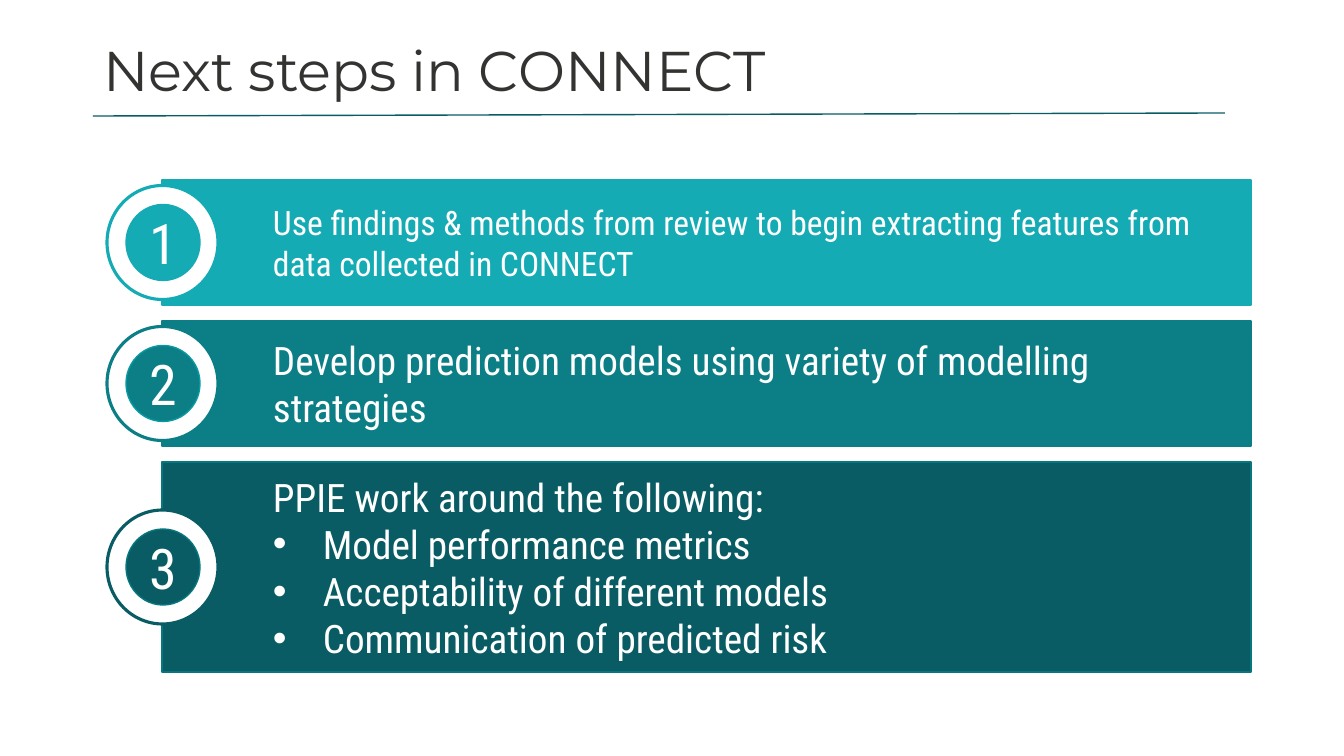
"""Build the "Next steps in CONNECT" slide with three numbered bars."""
from lxml.etree import SubElement
from pptx import Presentation
from pptx.dml.color import RGBColor
from pptx.enum.shapes import MSO_CONNECTOR, MSO_SHAPE
from pptx.enum.text import MSO_ANCHOR, PP_ALIGN
from pptx.oxml.ns import qn
from pptx.util import Emu, Pt

PX = 914400 / 100.8


def place(*lengths):
    return [Emu(round(length * PX)) for length in lengths]


def paint(color_format, color):
    color_format.rgb = RGBColor.from_string(color)


presentation = Presentation()
presentation.slide_width, presentation.slide_height = place(1344, 756)
slide = presentation.slides.add_slide(presentation.slide_layouts[5])

rule = slide.shapes.add_connector(MSO_CONNECTOR.STRAIGHT, *place(93, 116, 1225, 113))
paint(rule.line.color, "095C64")
rule.line.width = Pt(1)
SubElement(rule._element.spPr, qn("a:effectLst"))

title = slide.shapes.title
title.left, title.top, title.width, title.height = place(93, 0, 1159, 146)
title.text_frame.text = "Next steps in CONNECT"
title.text_frame.vertical_anchor = MSO_ANCHOR.MIDDLE
heading = title.text_frame.paragraphs[0]
heading.alignment = PP_ALIGN.LEFT
heading.line_spacing = 0.9
heading.font.name = "Montserrat"
heading.font.size = Pt(40)
paint(heading.font.color, "333331")

steps = [
    (125, "14ABB4", "16AAB4", "16AAB4", 24,
     ["Use findings & methods from review to begin extracting features from "
      "data collected in CONNECT"]),
    (125, "0C7E86", "0C7E86", "0999A2", 28,
     ["Develop prediction models using variety of modelling strategies"]),
    (210, "095C64", "07767F", "07767F", 28,
     ["PPIE work around the following:", "Model performance metrics",
      "Acceptability of different models", "Communication of predicted risk"]),
]
GAP = 16
INDENT, HANGING = place(101, 50)

top = 180
for number, (height, color, bar_line, badge_line, size, lines) in enumerate(steps, 1):
    middle = top + height / 2
    parts = [
        (MSO_SHAPE.RECTANGLE, (162, top, 1089, height), color, bar_line, 1, size, lines),
        (MSO_SHAPE.OVAL, (107, middle - 57, 111, 114), "FFFFFF", color, 2.25, 0, []),
        (MSO_SHAPE.OVAL, (126, middle - 38, 74, 76), color, badge_line, 1, 40, [str(number)]),
    ]
    for preset, box, fill, outline, weight, font_size, texts in parts:
        shape = slide.shapes.add_shape(preset, *place(*box))
        shape.shadow.inherit = False
        shape.fill.solid()
        paint(shape.fill.fore_color, fill)
        paint(shape.line.color, outline)
        shape.line.width = Pt(weight)
        if not texts:
            continue
        frame = shape.text_frame
        frame.word_wrap = True
        frame.vertical_anchor = MSO_ANCHOR.MIDDLE
        frame.text = "\n".join(texts)
        for index, paragraph in enumerate(frame.paragraphs):
            if preset == MSO_SHAPE.OVAL:
                paragraph.alignment = PP_ALIGN.CENTER
            else:
                paragraph.alignment = PP_ALIGN.LEFT
                properties = paragraph._p.get_or_add_pPr()
                properties.set("marL", str(INDENT + HANGING if index else INDENT))
                if index:
                    properties.set("indent", str(-HANGING))
                    SubElement(properties, qn("a:buFont"), typeface="Arial")
                    SubElement(properties, qn("a:buChar"), char="•")
            paragraph.font.name = "Roboto Condensed"
            paragraph.font.size = Pt(font_size)
            paint(paragraph.font.color, "FFFFFF")
    top += height + GAP

presentation.save("out.pptx")
